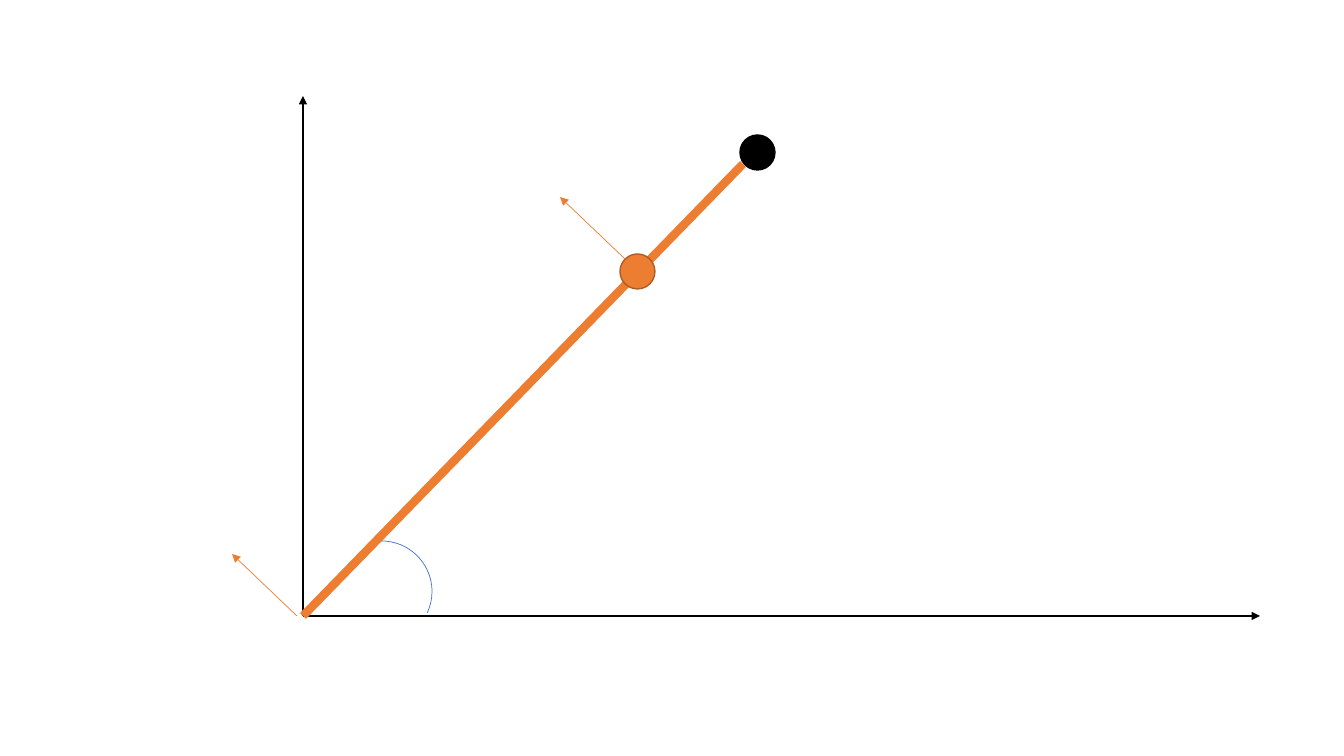
"""Draw a rod pivoting at the origin of two axes, with its masses, angle and direction arrows."""
from pptx import Presentation
from pptx.dml.color import RGBColor
from pptx.enum.shapes import MSO_CONNECTOR, MSO_SHAPE
from pptx.oxml.ns import qn
from pptx.util import Pt
from lxml import etree

STRAIGHT = MSO_CONNECTOR.STRAIGHT
OVAL, ARC = MSO_SHAPE.OVAL, MSO_SHAPE.ARC

PX = 914400 / 100.8
SLIDE_SIZE = (1344, 756)
THEME = {
    "axis": "000000", "rod": "ED7D31", "rod_edge": "AF5C24", "angle": "4472C4",
    "axis_width": 1.5, "rod_width": 6, "edge_width": 1, "thin_width": 0.5,
}

ORIGIN = (303, 616)
AXIS_ENDS = [(1260, 616), (303, 96)]
ROD_END = (743, 164)
MASS_SIZE = 35
END_MASS = {"corner": (740, 135), "fill": "axis", "edge": "axis"}
MIDDLE_MASS = {"corner": (620, 254), "fill": "rod", "edge": "rod_edge"}
ARROW_STARTS = [(625, 259), (297, 616)]
ARROW_SHIFT = (-65, -62)
ANGLE_BOX = (331, 541, 101, 101)
ANGLE_SWEEP = (162, 14.9)


def emu(*lengths):
    return [round(length * PX) for length in lengths]


def style_line(shape, color, width):
    shape.line.color.rgb = RGBColor.from_string(THEME[color])
    shape.line.width = Pt(THEME[width])


def draw_line(slide, start, end, color, width, arrow=False):
    line = slide.shapes.add_connector(STRAIGHT, *emu(*start, *end))
    style_line(line, color, width)
    if arrow:
        etree.SubElement(line.line._get_or_add_ln(), qn("a:tailEnd"), type="triangle")
    etree.SubElement(line._element.spPr, qn("a:effectLst"))


def draw_mass(slide, corner, fill, edge):
    mass = slide.shapes.add_shape(OVAL, *emu(*corner, MASS_SIZE, MASS_SIZE))
    mass.shadow.inherit = False
    mass.fill.solid()
    mass.fill.fore_color.rgb = RGBColor.from_string(THEME[fill])
    style_line(mass, edge, "edge_width")


def draw_angle(slide):
    angle = slide.shapes.add_shape(ARC, *emu(*ANGLE_BOX))
    angle.shadow.inherit = False
    angle.fill.background()
    for index, sweep in enumerate(ANGLE_SWEEP):
        angle.adjustments[index] = sweep
    style_line(angle, "angle", "thin_width")


def main():
    deck = Presentation()
    deck.slide_width, deck.slide_height = emu(*SLIDE_SIZE)
    slide = deck.slides.add_slide(deck.slide_layouts[6])
    for axis_end in AXIS_ENDS:
        draw_line(slide, ORIGIN, axis_end, "axis", "axis_width", arrow=True)
    draw_mass(slide, **END_MASS)
    draw_line(slide, ORIGIN, ROD_END, "rod", "rod_width")
    draw_mass(slide, **MIDDLE_MASS)
    draw_angle(slide)
    for x, y in ARROW_STARTS:
        tip = (x + ARROW_SHIFT[0], y + ARROW_SHIFT[1])
        draw_line(slide, (x, y), tip, "rod", "thin_width", arrow=True)
    deck.save("out.pptx")


if __name__ == "__main__":
    main()
